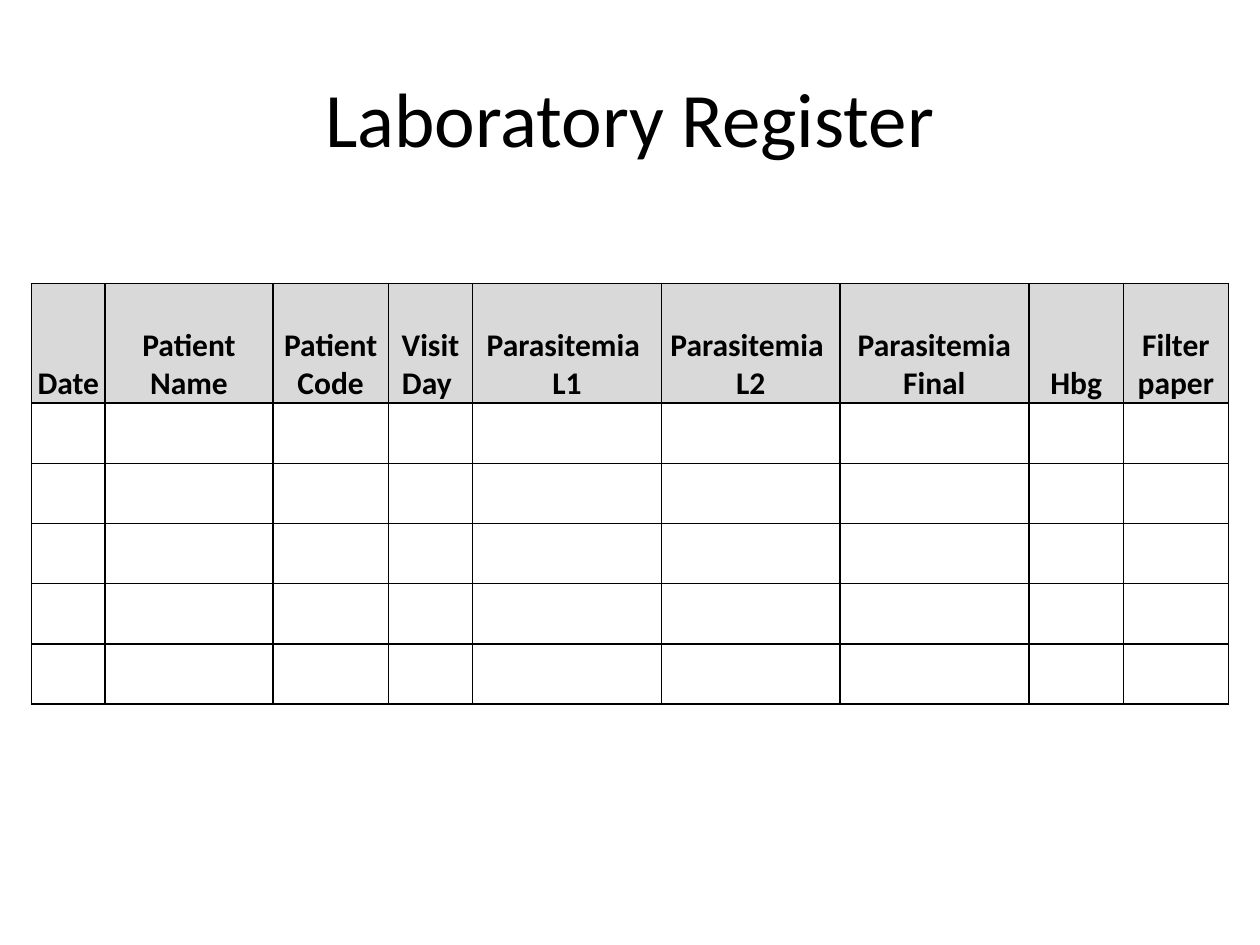
"""Build the laboratory register slide."""
import dataclasses

import lxml.etree
import pptx
import pptx.dml.color
import pptx.enum.text
import pptx.oxml.ns
import pptx.util

Pt = pptx.util.Pt
RGBColor = pptx.dml.color.RGBColor


@dataclasses.dataclass(frozen=True)
class Theme:
    """Hold the colours, font and sizes of the slide."""
    font: str = "Calibri"
    ink: str = "000000"
    header_fill: str = "D9D9D9"
    body_fill: str = "FFFFFF"
    title_size: int = 44
    table_size: int = 18
    border_width: int = 1


THEME = Theme()
COLUMNS = [
    ("Date", 42),
    ("Patient Name", 96),
    ("Patient Code", 66),
    ("Visit Day ", 48),
    ("Parasitemia \nL1", 108),
    ("Parasitemia \nL2", 102),
    ("Parasitemia\nFinal", 108),
    ("Hbg", 54),
    ("Filter paper", 60),
]
HEADER_HEIGHT = 68.4
ENTRY_HEIGHT = 34.4
ENTRY_COUNT = 5


def format_text(text_frame, size, bold=False):
    """Centre every paragraph and style its runs."""
    for paragraph in text_frame.paragraphs:
        paragraph.alignment = pptx.enum.text.PP_ALIGN.CENTER
        for run in paragraph.runs:
            run.font.name = THEME.font
            run.font.size = Pt(size)
            run.font.bold = bold
            run.font.color.rgb = RGBColor.from_string(THEME.ink)


def add_title(slide, text):
    """Add the centred slide title."""
    shape = slide.shapes.add_textbox(Pt(36), Pt(21.6), Pt(648), Pt(90))
    text_frame = shape.text_frame
    text_frame.word_wrap = True
    text_frame.vertical_anchor = pptx.enum.text.MSO_ANCHOR.MIDDLE
    text_frame.text = text
    format_text(text_frame, THEME.title_size)


def set_borders(cell):
    """Draw a solid line on all four sides of a cell."""
    qn = pptx.oxml.ns.qn
    properties = cell._tc.get_or_add_tcPr()
    for side in ("a:lnL", "a:lnR", "a:lnT", "a:lnB"):
        line = lxml.etree.SubElement(properties, qn(side), w=str(Pt(THEME.border_width)))
        fill = lxml.etree.SubElement(line, qn("a:solidFill"))
        lxml.etree.SubElement(fill, qn("a:srgbClr"), val=THEME.ink)


def style_cell(cell, fill_color):
    """Set the borders, fill, margins and anchor of a cell."""
    set_borders(cell)
    cell.fill.solid()
    cell.fill.fore_color.rgb = RGBColor.from_string(fill_color)
    cell.margin_left = cell.margin_right = cell.margin_top = Pt(0.72)
    cell.margin_bottom = Pt(0)
    cell.vertical_anchor = pptx.enum.text.MSO_ANCHOR.BOTTOM


def add_register(slide):
    """Add the register with its header row and blank entry rows."""
    heights = [HEADER_HEIGHT] + [ENTRY_HEIGHT] * ENTRY_COUNT
    width = sum(column_width for _, column_width in COLUMNS)
    shape = slide.shapes.add_table(
        len(heights), len(COLUMNS), Pt(18), Pt(162), Pt(width), Pt(sum(heights))
    )
    table = shape.table
    for row, height in zip(table.rows, heights):
        row.height = Pt(height)
    for index, (heading, column_width) in enumerate(COLUMNS):
        table.columns[index].width = Pt(column_width)
        for row_index in range(len(heights)):
            fill_color = THEME.body_fill if row_index else THEME.header_fill
            style_cell(table.cell(row_index, index), fill_color)
        text_frame = table.cell(0, index).text_frame
        text_frame.text = heading
        format_text(text_frame, THEME.table_size, bold=True)


def main():
    """Create the presentation and save it."""
    presentation = pptx.Presentation()
    presentation.slide_width = Pt(720)
    presentation.slide_height = Pt(540)
    slide = presentation.slides.add_slide(presentation.slide_layouts[6])
    add_title(slide, "Laboratory Register")
    add_register(slide)
    presentation.save("out.pptx")


if __name__ == "__main__":
    main()
